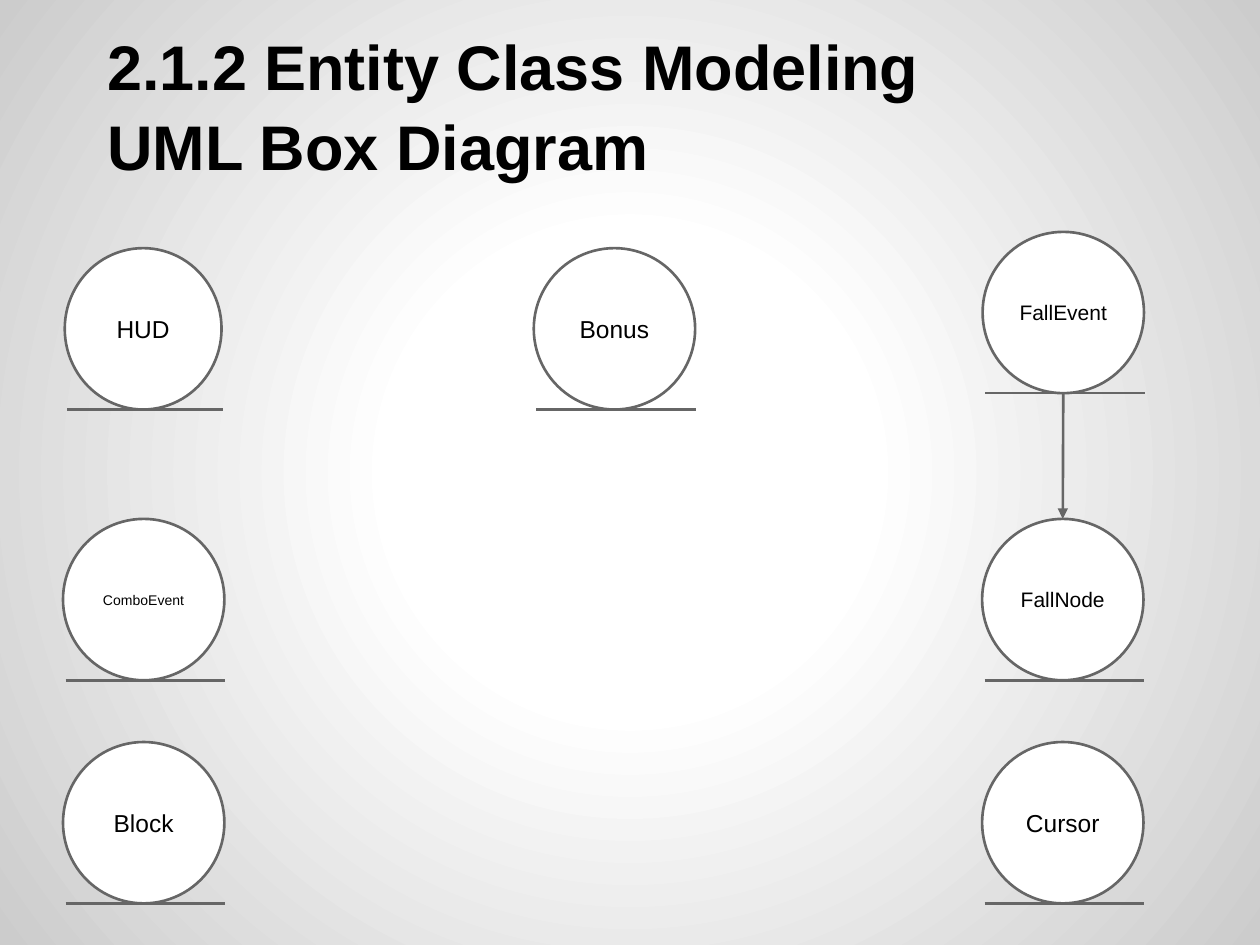
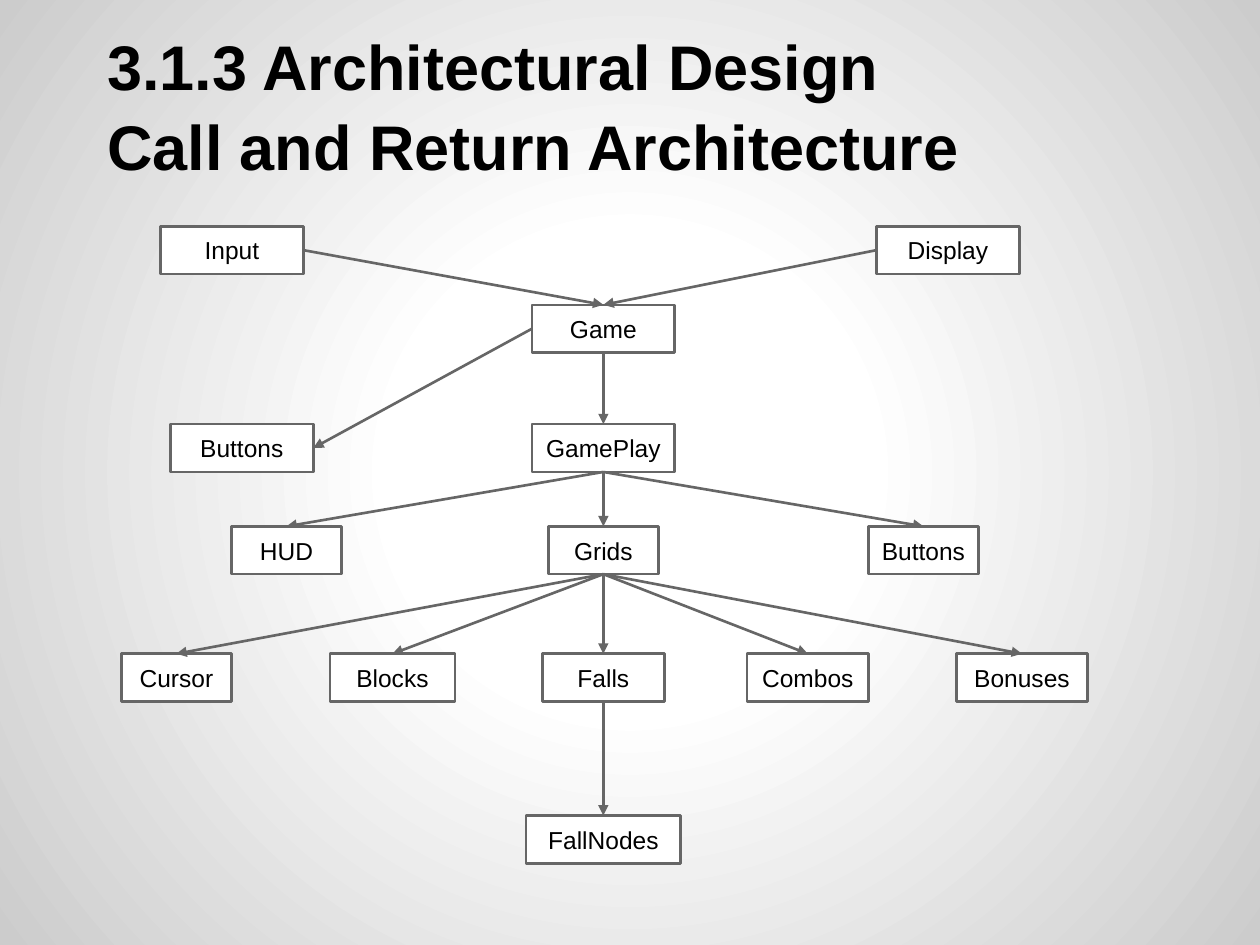
import pptx
import pptx.dml.color
import pptx.enum.shapes
import pptx.enum.text
import pptx.oxml
import pptx.oxml.ns
import pptx.util
from lxml import etree

Pt = pptx.util.Pt
SHAPE = pptx.enum.shapes.MSO_SHAPE
ANCHOR = pptx.enum.text.MSO_ANCHOR
ALIGN = pptx.enum.text.PP_ALIGN
qn = pptx.oxml.ns.qn

# Shared style
BLACK = pptx.dml.color.RGBColor(0x00, 0x00, 0x00)
WHITE = pptx.dml.color.RGBColor(0xFF, 0xFF, 0xFF)
EDGE_GREY = pptx.dml.color.RGBColor(0x66, 0x66, 0x66)
BACKDROP_GREY = pptx.dml.color.RGBColor(0xCC, 0xCC, 0xCC)
FONT = "Arial"
INSET = Pt(7.2)
MARGINS = {f"margin_{side}": INSET for side in ("left", "top", "right", "bottom")}
TITLE_PLACE = {"left": Pt(36), "top": Pt(21.6), "width": Pt(648), "height": Pt(90)}
TITLE_FRAME = {**MARGINS, "vertical_anchor": ANCHOR.BOTTOM, "word_wrap": True}
TITLE_FONT = {"name": FONT, "size": Pt(36), "bold": True}
LABEL_FRAME = {**MARGINS, "vertical_anchor": ANCHOR.MIDDLE, "word_wrap": False}

# Connection sites of a rectangle
TOP, LEFT, BOTTOM, RIGHT = range(4)


def apply_format(target, values):
    for attribute, value in values.items():
        setattr(target, attribute, value)


class Deck:
    """Holds the shared style and the slide being drawn."""

    def __init__(self):
        self.presentation = pptx.Presentation()
        apply_format(self.presentation,
                     {"slide_width": Pt(720), "slide_height": Pt(540)})
        self.slide = None
        self.set_backdrop()

    def set_backdrop(self):
        """Give the slide master a round white-to-grey gradient."""
        stops = "".join(
            f'<a:gs pos="{percent * 1000}"><a:srgbClr val="{colour}"/></a:gs>'
            for percent, colour in ((0, WHITE), (30, WHITE), (100, BACKDROP_GREY)))
        backdrop = pptx.oxml.parse_xml(
            f'<p:bg {pptx.oxml.ns.nsdecls("p", "a")}><p:bgPr>'
            f'<a:gradFill><a:gsLst>{stops}</a:gsLst><a:path path="circle">'
            '<a:fillToRect l="50000" t="50000" r="50000" b="50000"/></a:path>'
            '</a:gradFill><a:effectLst/></p:bgPr></p:bg>')
        content = self.presentation.slide_master.element.find(qn("p:cSld"))
        for previous in content.findall(qn("p:bg")):
            content.remove(previous)
        content.insert(0, backdrop)

    def new_slide(self, *title_lines):
        layout = self.presentation.slide_layouts.get_by_name("Title Only")
        self.slide = self.presentation.slides.add_slide(layout)
        title = self.slide.shapes.title
        apply_format(title, TITLE_PLACE)
        frame = title.text_frame
        apply_format(frame, TITLE_FRAME)
        frame.auto_size = pptx.enum.text.MSO_AUTO_SIZE.NONE
        frame.text = "\n".join(title_lines)
        for line in frame.paragraphs:
            apply_format(line, {"alignment": ALIGN.LEFT, "line_spacing": 1.05})
            line._p.get_or_add_pPr().set("indent", str(Pt(18)))
            apply_format(line.font, TITLE_FONT)
            line.font.color.rgb = BLACK

    def outlined(self, kind, label, left, top, width, height, size=14):
        shape = self.slide.shapes.add_shape(
            kind, Pt(left), Pt(top), Pt(width), Pt(height))
        shape.shadow.inherit = False
        shape.fill.solid()
        shape.fill.fore_color.rgb = WHITE
        shape.line.color.rgb = EDGE_GREY
        shape.line.width = Pt(1.5)
        apply_format(shape.text_frame, LABEL_FRAME)
        paragraph = shape.text_frame.paragraphs[0]
        paragraph.text = label
        paragraph.alignment = ALIGN.CENTER
        apply_format(paragraph.font, {"name": FONT, "size": Pt(size)})
        paragraph.font.color.rgb = BLACK
        return shape

    def line(self, x1, y1, x2, y2, arrow=False):
        line = self.slide.shapes.add_connector(
            pptx.enum.shapes.MSO_CONNECTOR.STRAIGHT, Pt(x1), Pt(y1), Pt(x2), Pt(y2))
        line.line.color.rgb = EDGE_GREY
        line.line.width = Pt(1.5)
        if arrow:
            etree.SubElement(line.line._get_or_add_ln(), qn("a:tailEnd"),
                             type="triangle", w="med", len="med")
        etree.SubElement(line.element.spPr, qn("a:effectLst"))
        return line

    def entity(self, label, left, top, size=14, width=92.2):
        """A UML entity: a circle standing on a line."""
        height = 92.2
        self.outlined(SHAPE.OVAL, label, left, top, width, height, size)
        base = top + height
        self.line(left + 1.5, base, left + width + 0.6, base)

    def module(self, label, center, top, width=81.6):
        return self.outlined(SHAPE.RECTANGLE, label,
                             center - width / 2, top, width, 27.3)

    def call(self, caller, callee, start=BOTTOM, end=TOP, behind=False):
        """An arrow between two modules, optionally beneath the called one."""
        arrow = self.line(0, 0, 0, 0, arrow=True)
        arrow.begin_connect(caller, start)
        arrow.end_connect(callee, end)
        if behind:
            callee.element.addprevious(arrow.element)


def draw_entities(deck):
    deck.new_slide("2.1.2 Entity Class Modeling", "UML Box Diagram")
    left, middle, right = 36, 305, 561.2
    upper, center, lower = 141.8, 296.5, 424
    fall_event_top = 132.5

    deck.entity("Bonus", middle, upper)
    deck.entity("HUD", left + 1, upper, width=89.6)
    deck.entity("Block", left, lower)
    deck.entity("FallEvent", right + 0.3, fall_event_top, size=12)
    deck.entity("FallNode", right, center, size=12)
    deck.entity("ComboEvent", left, center, size=8)
    deck.entity("Cursor", right, lower)

    # FallEvent leads to FallNode
    deck.line(right + 46.4, fall_event_top + 92.2, right + 46.1, center, arrow=True)


def draw_architecture(deck):
    deck.new_slide("3.1.3 Architectural Design", "Call and Return Architecture")
    axis = 344.8

    # Game and its surroundings
    game = deck.module("Game", axis, 174.2)
    menu_buttons = deck.module("Buttons", 138.2, 242.4)
    user_input = deck.module("Input", 132.5, 129.3)
    display = deck.module("Display", 541.7, 129.3)
    gameplay = deck.module("GamePlay", axis, 242.4)
    deck.call(display, game, start=LEFT)
    deck.call(user_input, game, start=RIGHT)
    deck.call(game, menu_buttons, start=LEFT, end=RIGHT)
    deck.call(game, gameplay)

    # Parts of GamePlay
    parts = {}
    for label, center in (("HUD", 163.7), ("Grids", axis), ("Buttons", 527.7)):
        parts[label] = deck.module(label, center, 300.8, width=62.9)
        deck.call(gameplay, parts[label], behind=True)

    # Contents of the grids
    contents = {}
    for label, center, width in (("Cursor", 100.8, 62.9), ("Blocks", 224.3, 71.5),
                                 ("Combos", 461.6, 69.6), ("Falls", axis, 69.6),
                                 ("Bonuses", 584, 75.2)):
        contents[label] = deck.module(label, center, 373.6, width)
        deck.call(parts["Grids"], contents[label])

    fall_nodes = deck.module("FallNodes", axis, 466, width=88.4)
    deck.call(contents["Falls"], fall_nodes)


def main():
    deck = Deck()
    draw_entities(deck)
    draw_architecture(deck)
    deck.presentation.save("out.pptx")


if __name__ == "__main__":
    main()
